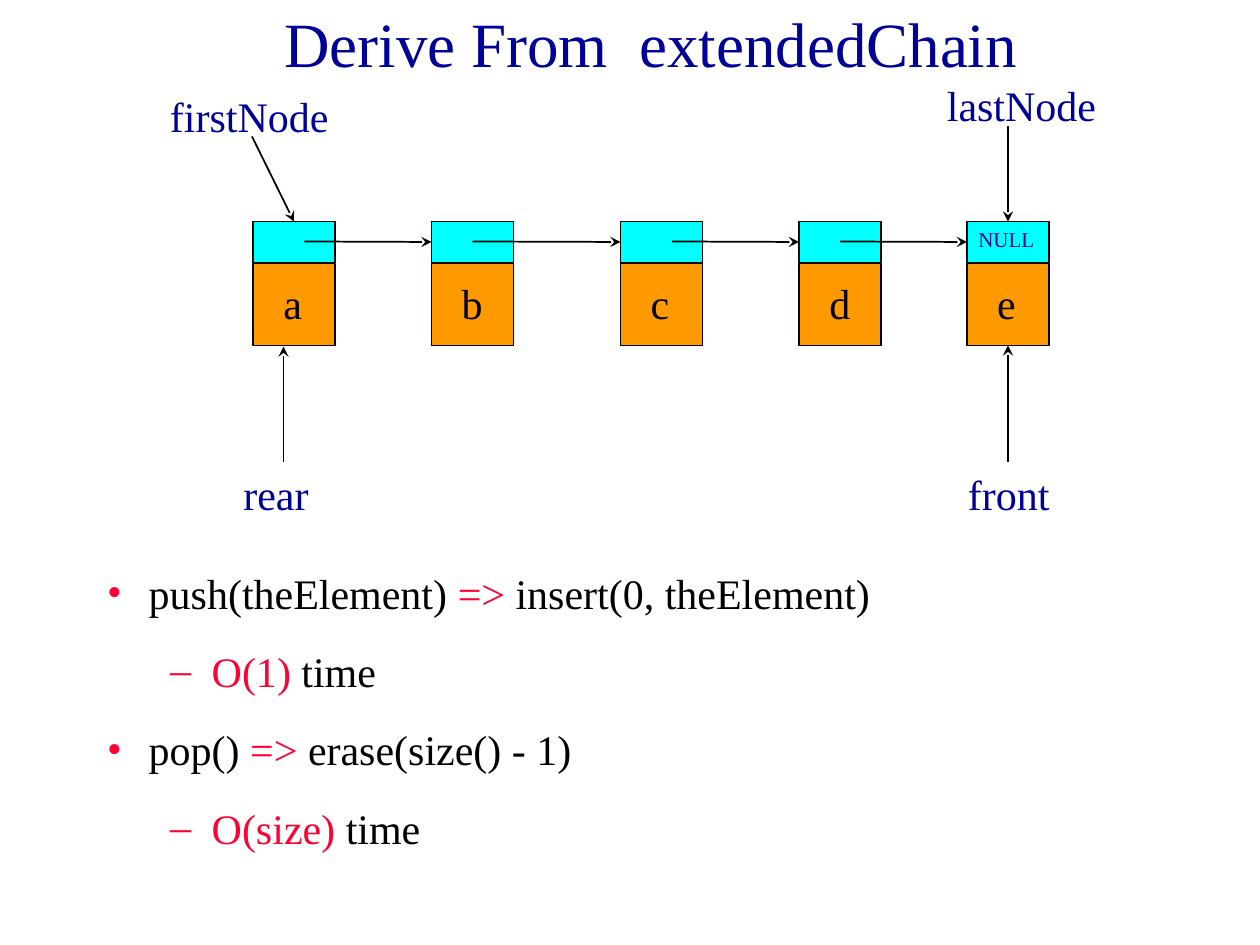
import pptx
import pptx.util
import pptx.dml.color
import pptx.enum.shapes
import pptx.enum.text
import pptx.oxml.ns
from lxml import etree

# Grid: 120 columns by 90 rows, twelve to the inch
FONT = "Times New Roman"
BLACK, NAVY, RED = "000000", "000099", "FF0033"
CYAN, ORANGE = "00FFFF", "FF9900"
NODES = [("a", 24), ("b", 41), ("c", 59), ("d", 76), ("e", 92)]
STARTS = [29, 45, 64, 80]  # columns where the links leave the cells
POINTS = [
    (1, [("push(theElement) ", BLACK), ("=>", RED),
         (" insert(0, theElement)", BLACK)]),
    (2, [("O(1) ", RED), ("time", BLACK)]),
    (1, [("pop() ", BLACK), ("=>", RED), (" erase(size() - 1)", BLACK)]),
    (2, [("O(size) ", RED), ("time", BLACK)]),
]


def grid(*units):
    return [pptx.util.Inches(unit / 12) for unit in units]


def color(text):
    return pptx.dml.color.RGBColor.from_string(text)


def child(node, tag, **attrs):
    return etree.SubElement(node, pptx.oxml.ns.qn(tag), attrs)


def style(font, size, tint):
    font.name, font.size = FONT, pptx.util.Pt(size)
    font.color.rgb = color(tint)


def place(shape, *units):
    shape.left, shape.top, shape.width, shape.height = grid(*units)


def rect(slide, fill, *units):
    kind = pptx.enum.shapes.MSO_SHAPE.RECTANGLE
    shape = slide.shapes.add_shape(kind, *grid(*units))
    shape.shadow.inherit = False
    shape.fill.solid()
    shape.fill.fore_color.rgb = color(fill)
    shape.line.color.rgb = color(BLACK)
    shape.line.width = pptx.util.Pt(1)
    return shape


def label(slide, text, units, size=24, tint=NAVY, wrap=True):
    frame = slide.shapes.add_textbox(*grid(*units)).text_frame
    frame.word_wrap = wrap
    par = frame.paragraphs[0]
    par.text = text
    style(par.font, size, tint)


def arrow(slide, start, end, cell=None, site=0):
    kind = pptx.enum.shapes.MSO_CONNECTOR.STRAIGHT
    line = slide.shapes.add_connector(kind, *grid(*start, *end))
    line.line.color.rgb = color(BLACK)
    line.line.width = pptx.util.Pt(1)
    child(line.line._get_or_add_ln(), "a:tailEnd", type="stealth")
    child(line._element.spPr, "a:effectLst")
    if cell is not None:
        line.end_connect(cell, site)


def node(slide, name, col):
    # Data part below, link part above
    data = rect(slide, ORANGE, col + 0.1, 25.1, 7.8, 7.8)
    link = rect(slide, CYAN, col + 0.1, 21.1, 7.8, 3.9)
    label(slide, name, (col + 1.8, 25.8, 4.3, 6), tint=BLACK, wrap=False)
    return data, link


def chain(slide):
    cells = [node(slide, *item) for item in NODES]
    for start, (name, col), (data, link) in zip(STARTS, NODES[1:], cells[1:]):
        arrow(slide, (start, 23), (col, 23), link, 1)
    label(slide, "NULL", (92, 21, 8, 3.6), size=12)

    # Pointers above and below the chain
    label(slide, "firstNode", (15, 8, 22, 6))
    arrow(slide, (24, 13), (28, 21), cells[0][1], 0)
    label(slide, "lastNode", (89, 7, 22, 6))
    arrow(slide, (96, 12), (96, 21), cells[-1][1], 0)
    label(slide, "rear", (22, 44, 13, 6))
    arrow(slide, (27, 44), (27, 33))
    label(slide, "front", (91, 44, 13, 6))
    arrow(slide, (96, 44), (96, 33), cells[-1][0], 2)


def title(slide, text):
    shape = slide.shapes.title
    place(shape, 11, 0, 102, 8)
    frame = shape.text_frame
    frame.text = text
    frame.vertical_anchor = pptx.enum.text.MSO_ANCHOR.MIDDLE
    par = frame.paragraphs[0]
    par.alignment = pptx.enum.text.PP_ALIGN.CENTER
    style(par.font, 36, NAVY)


def bullet(par, level):
    props = par._p.get_or_add_pPr()
    left = pptx.util.Inches(0.58 + 0.5 * level)
    props.set("marL", str(left))
    props.set("indent", str(-pptx.util.Inches(0.33)))
    child(child(props, "a:buClr"), "a:srgbClr", val=RED)
    child(props, "a:buFont", typeface=FONT)
    child(props, "a:buChar", char="•" if level == 1 else "–")


def body(slide):
    shape = slide.placeholders[1]
    place(shape, 0, 53.4, 116, 28)
    frame = shape.text_frame
    frame.auto_size = pptx.enum.text.MSO_AUTO_SIZE.NONE
    for row, (level, runs) in enumerate(POINTS):
        par = frame.add_paragraph() if row else frame.paragraphs[0]
        par.level = level
        bullet(par, level)
        par.space_before = pptx.util.Pt(16 if row else 0)
        for text, tint in runs:
            run = par.add_run()
            run.text = text
            style(run.font, 24, tint)


def main():
    deck = pptx.Presentation()
    deck.slide_width, deck.slide_height = grid(120, 90)
    slide = deck.slides.add_slide(deck.slide_layouts[1])
    title(slide, "Derive From  extendedChain")
    chain(slide)
    body(slide)
    deck.save("out.pptx")


if __name__ == "__main__":
    main()
